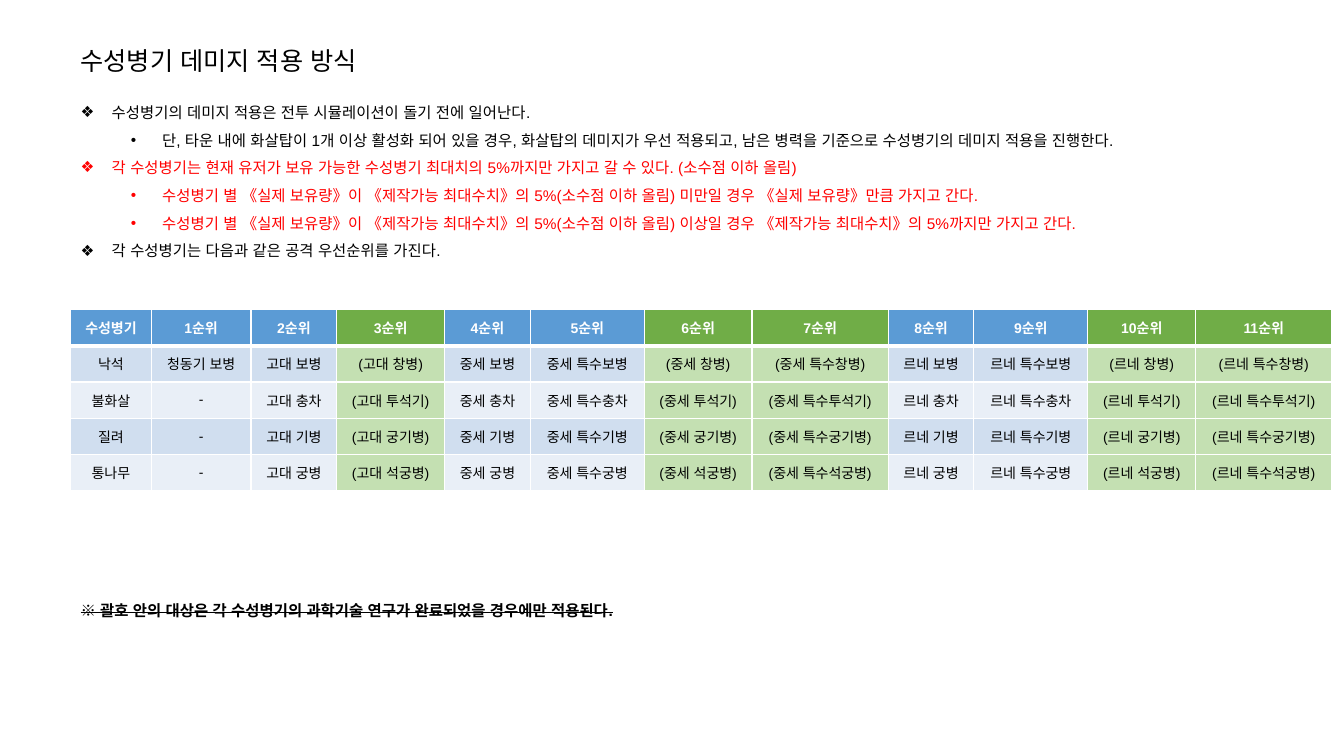
from lxml.etree import SubElement
from pptx import Presentation
from pptx.dml.color import RGBColor
from pptx.enum.lang import MSO_LANGUAGE_ID
from pptx.enum.text import MSO_ANCHOR, PP_ALIGN
from pptx.oxml.ns import qn
from pptx.util import Inches, Pt

COLORS = {
    "black": "000000",
    "red": "FF0000",
    "white": "FFFFFF",
    "blue": "5B9BD5",
    "green": "70AD47",
    "odd_row": "D0DEEF",
    "even_row": "E9EFF7",
    "pale_green": "C4E0B2",
}


def add_text(paragraph, text, size, color="black", bold=False):
    run = paragraph.add_run()
    run.text = text
    run.font.name = "Arial"
    run.font.size = Pt(size)
    run.font.bold = bold
    run.font.color.rgb = RGBColor.from_string(COLORS[color])
    run.font.language_id = MSO_LANGUAGE_ID.KOREAN
    return run


def add_border(cell, side, width):
    line = SubElement(cell._tc.get_or_add_tcPr(), qn(f"a:{side}"), w=str(Pt(width)))
    fill = SubElement(line, qn("a:solidFill"))
    SubElement(fill, qn("a:srgbClr"), val=COLORS["white"])


presentation = Presentation()
presentation.slide_width = Inches(13.33)
presentation.slide_height = Inches(7.5)
slide = presentation.slides.add_slide(presentation.slide_layouts[6])

title = slide.shapes.add_textbox(Inches(0.7), Inches(0.4), Inches(3.25), Inches(0.4))
title.text_frame.word_wrap = False
add_text(title.text_frame.paragraphs[0], "수성병기 데미지 적용 방식", 18)

rules = [
    (0, "black", "수성병기의 데미지 적용은 전투 시뮬레이션이 돌기 전에 일어난다."),
    (1, "black", "단, 타운 내에 화살탑이 1개 이상 활성화 되어 있을 경우, 화살탑의 데미지가 우선 적용되고, 남은 병력을 기준으로 수성병기의 데미지 적용을 진행한다."),
    (0, "red", "각 수성병기는 현재 유저가 보유 가능한 수성병기 최대치의 5%까지만 가지고 갈 수 있다. (소수점 이하 올림)"),
    (1, "red", "수성병기 별 《실제 보유량》이 《제작가능 최대수치》의 5%(소수점 이하 올림) 미만일 경우 《실제 보유량》만큼 가지고 간다."),
    (1, "red", "수성병기 별 《실제 보유량》이 《제작가능 최대수치》의 5%(소수점 이하 올림) 이상일 경우 《제작가능 최대수치》의 5%까지만 가지고 간다."),
    (0, "black", "각 수성병기는 다음과 같은 공격 우선순위를 가진다."),
]
body = slide.shapes.add_textbox(Inches(0.7), Inches(0.88), Inches(12.55), Inches(3.43))
body.text_frame.word_wrap = True
paragraph = body.text_frame.paragraphs[0]
for level, color, text in rules:
    paragraph.level = level
    paragraph.line_spacing = 1.5
    properties = paragraph._p.get_or_add_pPr()
    properties.set("marL", str(Inches(0.31 + 0.5 * level)))
    properties.set("indent", str(Inches(-0.31)))
    bullet_color = SubElement(properties, qn("a:buClr"))
    SubElement(bullet_color, qn("a:srgbClr"), val=COLORS[color])
    SubElement(properties, qn("a:buFont"), typeface="Arial")
    SubElement(properties, qn("a:buChar"), char="❖•"[level])
    add_text(paragraph, text, 11, color)
    paragraph = body.text_frame.add_paragraph()

paragraph.line_spacing = 1.5
paragraph.space_before = Pt(237)
note = add_text(paragraph, "※ 괄호 안의 대상은 각 수성병기의 과학기술 연구가 완료되었을 경우에만 적용된다.", 11, bold=True)
note.font._element.set("strike", "sngStrike")

weapons = [
    ("낙석", "청동기 보병", "보병", "창병"),
    ("불화살", "-", "충차", "투석기"),
    ("질려", "-", "기병", "궁기병"),
    ("통나무", "-", "궁병", "석궁병"),
]
rows = [["수성병기"] + [f"{rank}순위" for rank in range(1, 12)]]
for weapon, first_target, unit, researched in weapons:
    row = [weapon, first_target, f"고대 {unit}", f"(고대 {researched})"]
    for era in ("중세", "르네"):
        row += [f"{era} {unit}", f"{era} 특수{unit}", f"({era} {researched})", f"({era} 특수{researched})"]
    rows.append(row)

era_widths = [0.85, 1.13, 1.07, 1.35]
column_widths = [0.8, 0.99, 0.85, 1.07] + era_widths * 2
researched_columns = {3, 6, 7, 10, 11}
row_height = 0.36
frame = slide.shapes.add_table(
    len(rows), len(column_widths), Inches(0.7), Inches(3.07),
    Inches(sum(column_widths)), Inches(row_height * len(rows)),
)
table = frame.table
for column, width in zip(table.columns, column_widths):
    column.width = Inches(width)
for row_index, row in enumerate(rows):
    table.rows[row_index].height = Inches(row_height)
    header = row_index == 0
    for column_index, text in enumerate(row):
        cell = table.cell(row_index, column_index)
        cell.vertical_anchor = MSO_ANCHOR.MIDDLE
        for side in ("lnL", "lnR"):
            add_border(cell, side, 1)
        add_border(cell, "lnT", 3 if row_index == 1 else 1)
        add_border(cell, "lnB", 3 if header else 1)
        if column_index in researched_columns:
            fill = "green" if header else "pale_green"
        elif header:
            fill = "blue"
        else:
            fill = "odd_row" if row_index % 2 else "even_row"
        cell.fill.solid()
        cell.fill.fore_color.rgb = RGBColor.from_string(COLORS[fill])
        paragraph = cell.text_frame.paragraphs[0]
        paragraph.alignment = PP_ALIGN.CENTER
        add_text(paragraph, text, 10, "white" if header else "black", header)

presentation.save("out.pptx")
